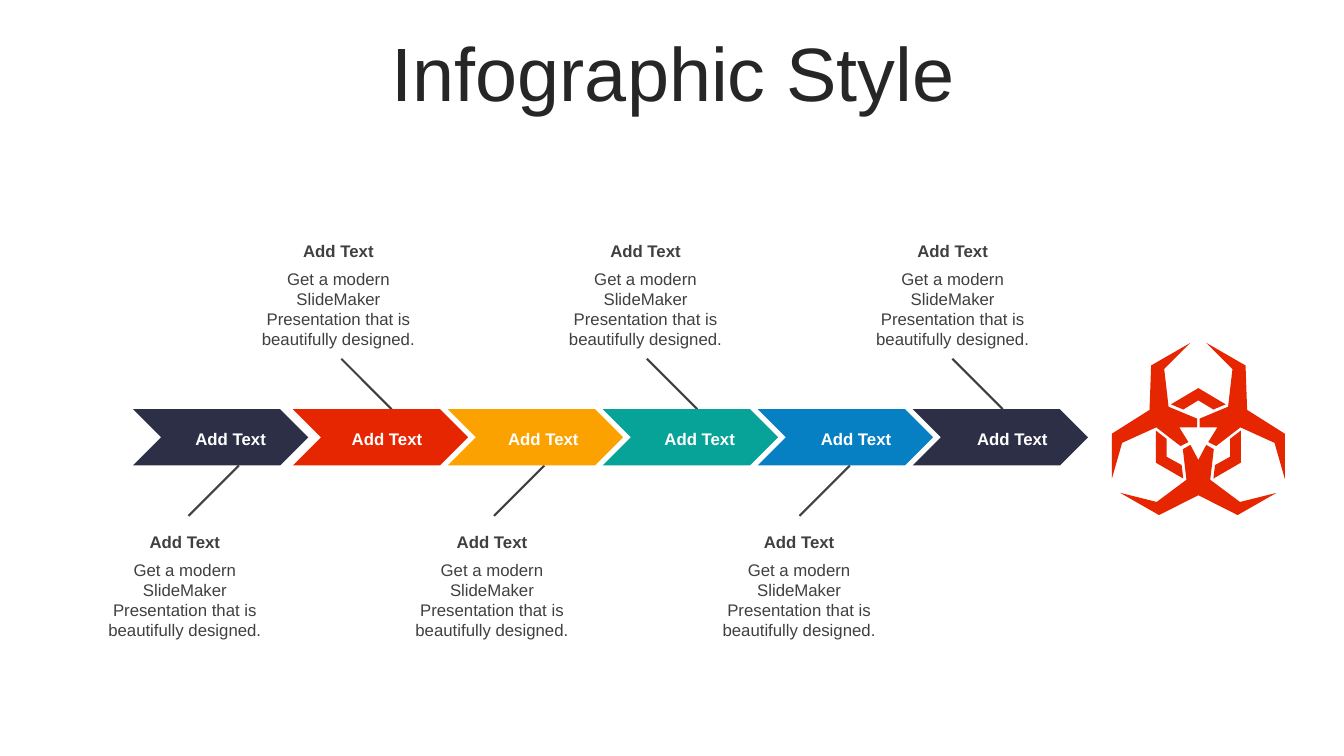
from lxml.etree import SubElement
from pptx import Presentation
from pptx.dml.color import RGBColor
from pptx.enum.shapes import MSO_CONNECTOR, MSO_SHAPE
from pptx.enum.text import MSO_ANCHOR, PP_ALIGN
from pptx.oxml.ns import qn
from pptx.util import Cm, Pt

TITLE = "Infographic Style"
NOTE = "Get a modern SlideMaker Presentation that is beautifully designed."
# label on the arrow, arrow colour, note heading, note text; notes alternate below and above
STEPS = [
    ("Add Text", "navy", "Add Text", NOTE),
    ("Add Text", "red", "Add Text", NOTE),
    ("Add Text", "amber", "Add Text", NOTE),
    ("Add Text", "teal", "Add Text", NOTE),
    ("Add Text", "blue", "Add Text", NOTE),
    ("Add Text", "navy", "Add Text", NOTE),
]
COLORS = {
    "title": "262626", "text": "404040", "white": "FFFFFF", "navy": "2C2F45",
    "red": "E62601", "amber": "FBA200", "teal": "07A398", "blue": "0680C3",
}
FONT = "Arial"

# Biohazard symbol: points in cm, x from its vertical axis, y from its top
AXIS_X, SYMBOL_TOP = 30.2, 8.64
ARM = [(2.18, 3.43), (1.92, 2.52), (1.06, 2.13), (0.45, 2.6), (0.25, 2.5),
       (0.48, 2.13), (0.03, 2.13), (0.03, 1.91), (0.75, 1.61), (0.86, 0.66),
       (0.2, 0), (1.19, 0.57), (1.23, 1.69), (2.18, 2.29)]
SIDE = [(1.07, 2.21), (1.07, 3.02), (0.38, 3.42), (0.42, 3.08), (0.8, 2.87), (0.8, 2.42)]
BASE_HALF = [(0, 2.95), (0.2, 2.57), (0.39, 2.68), (0.3, 3.45), (1.05, 4.01),
             (1.97, 3.78), (0.99, 4.34), (0, 3.84)]
CAP_HALF = [(0, 1.14), (0.69, 1.55), (0.38, 1.68), (0, 1.45)]

ARROW_TOP, ARROW_W, ARROW_H = 10.31, 4.42, 1.42
FIRST_ARROW_X, SECOND_ARROW_X, ARROW_STEP = 3.35, 7.38, 3.905
LABEL_X, LABEL_Y, LABEL_W, LABEL_STEP = 4.14, 10.67, 3.35, 3.94
LINE_X, LINE_STEP, LINE_REACH = 4.75, 3.85, 1.27
NOTE_X, NOTE_STEP, NOTE_W = 2.11, 3.87, 5.1
NOTE_ABOVE_Y, NOTE_BELOW_Y = 5.94, 13.28
HEADING_H, BODY_H, BODY_DROP = 0.76, 2.31, 0.7


def rgb(name):
    return RGBColor.from_string(COLORS[name])


def paint(sp, color):
    sp.shadow.inherit = False
    sp.fill.solid()
    sp.fill.fore_color.rgb = rgb(color)
    sp.line.fill.background()


def write(tf, text, size, color, bold=False):
    tf.word_wrap = True
    p = tf.paragraphs[0]
    p.alignment = PP_ALIGN.CENTER
    r = p.add_run()
    r.text = text
    r.font.name, r.font.size, r.font.bold = FONT, Pt(size), bold
    r.font.color.rgb = rgb(color)
    return p


def add_text(s, x, y, w, h, text, color="text", bold=False):
    box = s.shapes.add_textbox(Cm(x), Cm(y), Cm(w), Cm(h))
    write(box.text_frame, text, 12, color, bold)


def add_title(s):
    sp = s.shapes.title
    sp.left, sp.top, sp.width, sp.height = Cm(0.89), Cm(0.94), Cm(32.16), Cm(2.01)
    sp.text_frame.vertical_anchor = MSO_ANCHOR.MIDDLE
    write(sp.text_frame, TITLE, 54, "title").line_spacing = 0.9


def add_line(s, i, above):
    x = LINE_X + i * LINE_STEP
    edge = ARROW_TOP if above else ARROW_TOP + ARROW_H
    outer = edge - LINE_REACH if above else edge + LINE_REACH
    line = s.shapes.add_connector(
        MSO_CONNECTOR.STRAIGHT, Cm(x), Cm(outer), Cm(x + LINE_REACH), Cm(edge))
    line.line.color.rgb = rgb("text")
    line.line.width = Pt(1.5)
    SubElement(line._element.spPr, qn("a:effectLst"))


def add_arrow(s, i, color):
    x = SECOND_ARROW_X + (i - 1) * ARROW_STEP if i else FIRST_ARROW_X
    sp = s.shapes.add_shape(
        MSO_SHAPE.CHEVRON, Cm(x), Cm(ARROW_TOP), Cm(ARROW_W), Cm(ARROW_H))
    paint(sp, color)


def add_note(s, i, above, heading, body):
    x = NOTE_X + i * NOTE_STEP
    y = NOTE_ABOVE_Y if above else NOTE_BELOW_Y
    add_text(s, x, y, NOTE_W, HEADING_H, heading, bold=True)
    add_text(s, x, y + BODY_DROP, NOTE_W, BODY_H, body)


def mirror(points):
    return [(-x, y) for x, y in points]


def add_symbol(s):
    outlines = [ARM, mirror(ARM), SIDE, mirror(SIDE)]
    outlines += [half + mirror(half[-2:0:-1]) for half in (BASE_HALF, CAP_HALF)]
    for outline in outlines:
        points = [(Cm(AXIS_X + x), Cm(SYMBOL_TOP + y)) for x, y in outline]
        builder = s.shapes.build_freeform(*points[0])
        builder.add_line_segments(points[1:], close=True)
        paint(builder.convert_to_shape(), "red")


def main():
    prs = Presentation()
    prs.slide_width, prs.slide_height = Cm(33.87), Cm(19.05)
    s = prs.slides.add_slide(prs.slide_layouts[5])
    add_title(s)
    for i, (label, color, heading, body) in enumerate(STEPS):
        above = i % 2 == 1
        add_line(s, i, above)
        add_arrow(s, i, color)
        add_text(s, LABEL_X + i * LABEL_STEP, LABEL_Y, LABEL_W, HEADING_H,
                 label, "white", bold=True)
        add_note(s, i, above, heading, body)
    add_symbol(s)
    prs.save("out.pptx")


if __name__ == "__main__":
    main()
